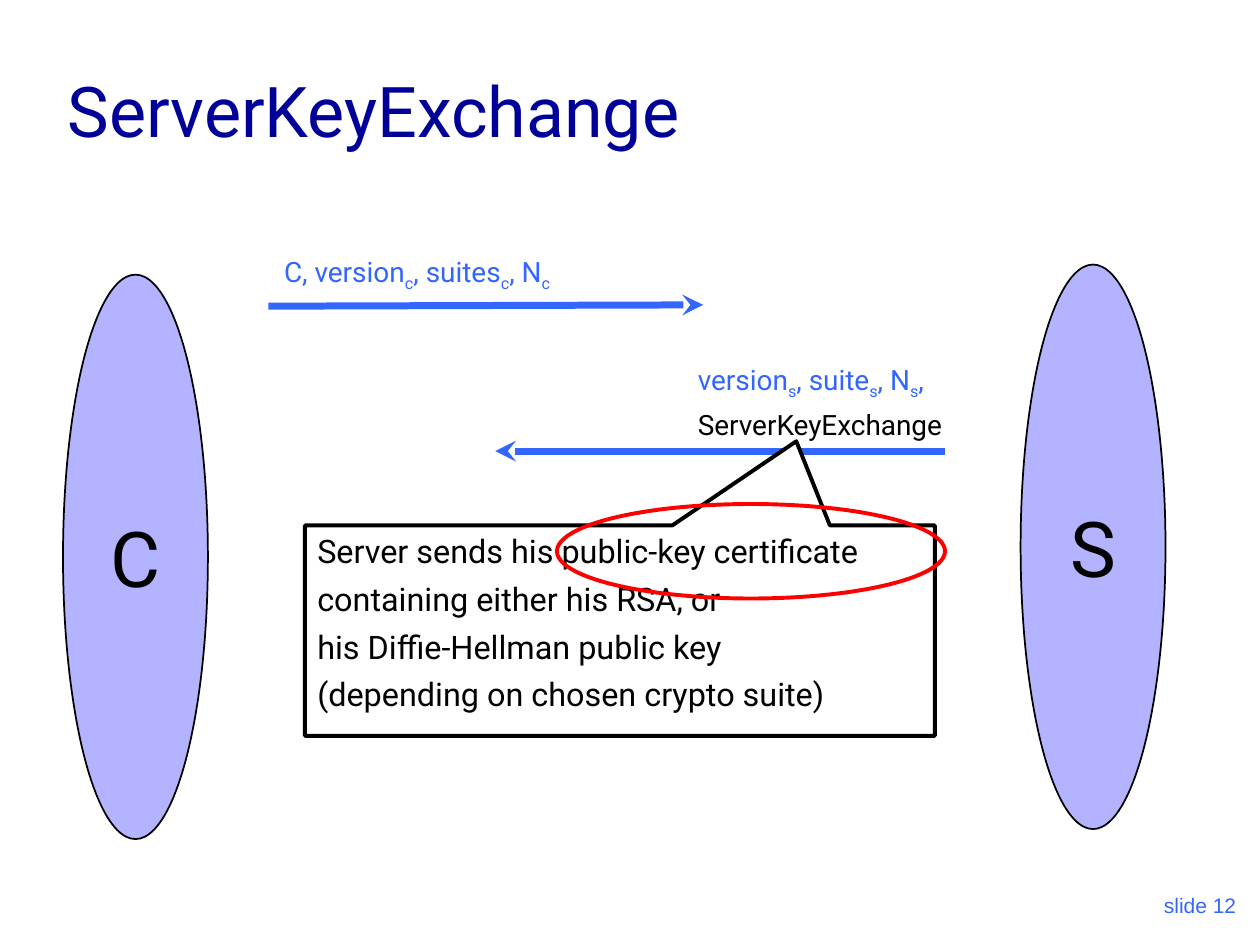
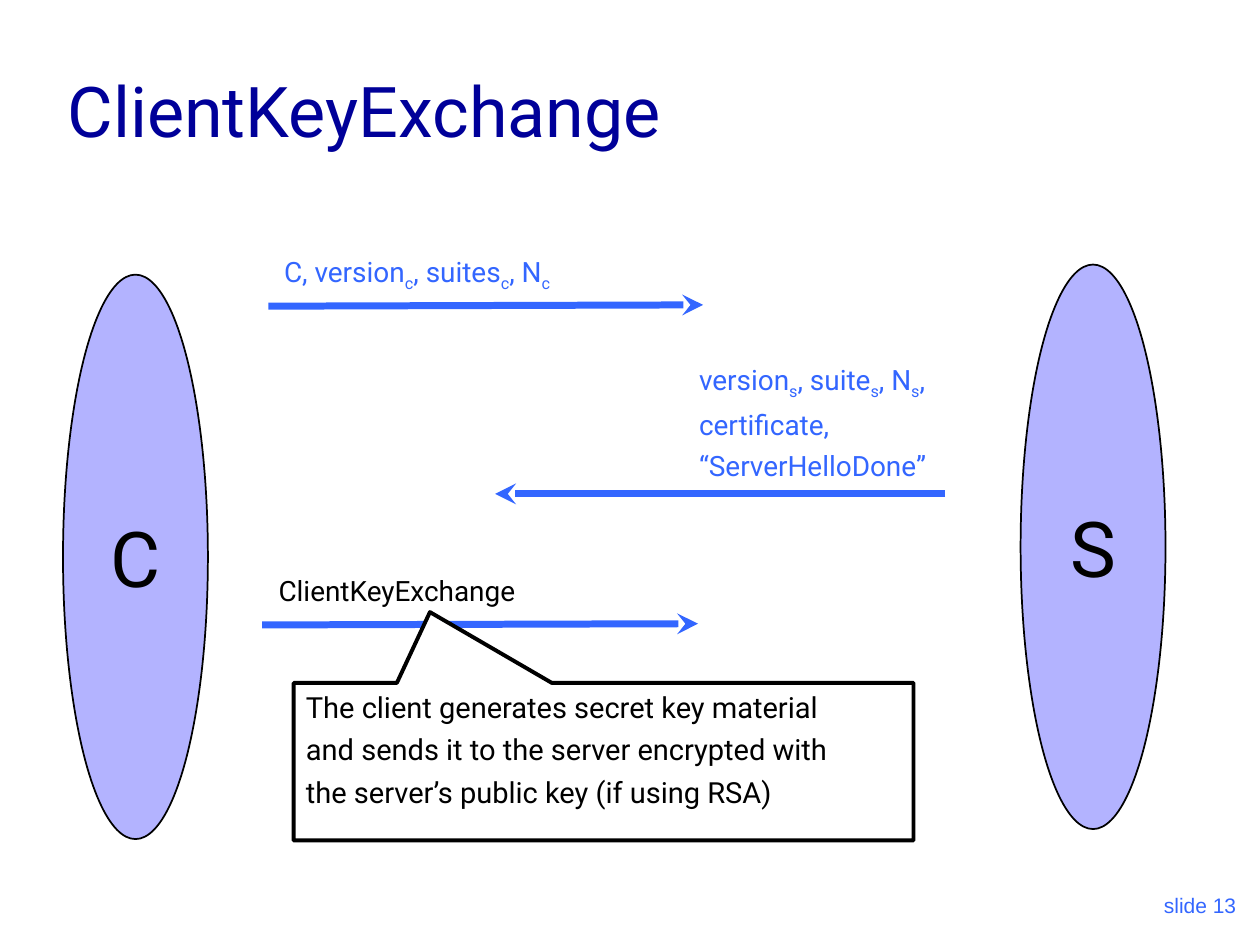
from lxml import etree
from pptx import Presentation
from pptx.dml.color import RGBColor
from pptx.enum.shapes import MSO_CONNECTOR, MSO_SHAPE
from pptx.enum.text import MSO_ANCHOR, MSO_AUTO_SIZE, PP_ALIGN
from pptx.oxml.ns import qn
from pptx.util import Inches, Pt

OVAL = MSO_SHAPE.OVAL
CALLOUT = MSO_SHAPE.RECTANGULAR_CALLOUT
STRAIGHT = MSO_CONNECTOR.STRAIGHT
TOP, MIDDLE, BOTTOM = MSO_ANCHOR.TOP, MSO_ANCHOR.MIDDLE, MSO_ANCHOR.BOTTOM
LEFT, CENTER, RIGHT = PP_ALIGN.LEFT, PP_ALIGN.CENTER, PP_ALIGN.RIGHT
FIT = MSO_AUTO_SIZE.SHAPE_TO_FIT_TEXT

COLORS = {name: RGBColor.from_string(code) for name, code in {
    "title": "000099",
    "blue": "3366FF",
    "lilac": "B3B3FF",
    "black": "000000",
    "white": "FFFFFF",
    "red": "FF0000",
}.items()}


def write(shape, text, size=16, color="black", font="Roboto", align=LEFT,
          anchor=TOP, wrap=True, gap=0, last=None):
    frame = shape.text_frame
    frame.word_wrap = wrap
    frame.vertical_anchor = anchor
    lines = text.split("\n")
    for row, line in enumerate(lines):
        para = frame.paragraphs[0] if row == 0 else frame.add_paragraph()
        para.alignment = align
        para.space_before = Pt(gap if row else 0)
        tone = last if last and row == len(lines) - 1 else color
        first, *rest = line.split("_")
        parts = [(first, False)]
        for part in rest:
            parts += [(part[0], True), (part[1:], False)]
        for part, low in parts:
            if part:
                run = para.add_run()
                run.text = part
                run.font.name = font
                run.font.size = Pt(size)
                run.font.color.rgb = COLORS[tone]
                if low:
                    run.font.language_id = None
                    run._r.get_or_add_rPr().set("baseline", "-25000")


def draw(slide, kind, box, line, width, fill=None):
    shape = slide.shapes.add_shape(kind, *map(Inches, box))
    shape.shadow.inherit = False
    shape.line.color.rgb = COLORS[line]
    shape.line.width = Pt(width)
    if fill:
        shape.fill.solid()
        shape.fill.fore_color.rgb = COLORS[fill]
    else:
        shape.fill.background()
    return shape


HELLO = ("C, version_c, suites_c, N_c", (2.1, 1.97, 2.42, 0.41), CENTER, "blue", None)
START = (2.13, 2.43, 5.58, 2.42)
PARTIES = [("C", 0.5, 2.18), ("S", 8.1, 2.1)]

SLIDES = [
    {
        "title": "ServerKeyExchange",
        "number": 12,
        "arrows": [START, (7.5, 3.58, 3.93, 3.58)],
        "labels": [HELLO, ("version_s, suite_s, N_s,\nServerKeyExchange",
                           (5.44, 2.83, 2.25, 0.73), LEFT, "blue", "black")],
        "box": (2.42, 4.17, 5, 1.67),
        "tip": (0.28, -0.9),
        "note": "Server sends his public-key certificate\n"
                "containing either his RSA, or\n"
                "his Diffie-Hellman public key\n"
                "(depending on chosen crypto suite)",
        "size": 18.5,
        "gap": 5,
        "ring": (4.42, 4, 3.08, 0.75),
    },
    {
        "title": "ClientKeyExchange",
        "number": 13,
        "arrows": [START, (7.5, 3.92, 3.93, 3.92), (2.08, 4.96, 5.54, 4.95)],
        "labels": [HELLO,
                   ("version_s, suite_s, N_s,\ncertificate,\n“ServerHelloDone”",
                    (5.45, 2.83, 2.17, 1.05), LEFT, "blue", None),
                   ("ClientKeyExchange", (2.06, 4.5, 2.18, 0.37), CENTER, "black", None)],
        "box": (2.33, 5.42, 4.92, 1.25),
        "tip": (-0.28, -0.95),
        "note": "The client generates secret key material\n"
                "and sends it to the server encrypted with\n"
                "the server’s public key (if using RSA)",
        "size": 16.6,
        "gap": 4.5,
        "ring": None,
    },
]

deck = Presentation()
deck.slide_width, deck.slide_height = Inches(10), Inches(7.5)

for page in SLIDES:
    slide = deck.slides.add_slide(deck.slide_layouts[6])
    shapes = slide.shapes

    foot = shapes.add_textbox(*map(Inches, (7.83, 6.83, 2.08, 0.5)))
    write(foot, f"slide {page['number']}", size=12, color="blue", font="Arial",
          align=RIGHT, anchor=BOTTOM)
    title = shapes.add_textbox(*map(Inches, (0.44, 0.25, 8.5, 1)))
    write(title, page["title"], size=40, color="title", anchor=BOTTOM)

    for name, left, top in PARTIES:
        party = draw(slide, OVAL, (left, top, 1.15, 4.48), "black", 1, "lilac")
        write(party, name, size=44, align=CENTER, anchor=MIDDLE, wrap=False)

    for ends in page["arrows"]:
        arrow = shapes.add_connector(STRAIGHT, *map(Inches, ends))
        arrow.line.color.rgb = COLORS["blue"]
        arrow.line.width = Pt(4)
        etree.SubElement(arrow.line._get_or_add_ln(), qn("a:tailEnd"), type="stealth")
        etree.SubElement(arrow._element.spPr, qn("a:effectLst"))

    for text, box, align, color, last in page["labels"]:
        label = shapes.add_textbox(*map(Inches, box))
        write(label, text, color=color, align=align, wrap=False, gap=4, last=last)
        label.text_frame.auto_size = FIT

    note = draw(slide, CALLOUT, page["box"], "black", 2.25, "white")
    note.adjustments[0], note.adjustments[1] = page["tip"]
    write(note, page["note"], size=page["size"], gap=page["gap"])

    if page["ring"]:
        draw(slide, OVAL, page["ring"], "red", 2.25)

deck.save("out.pptx")
